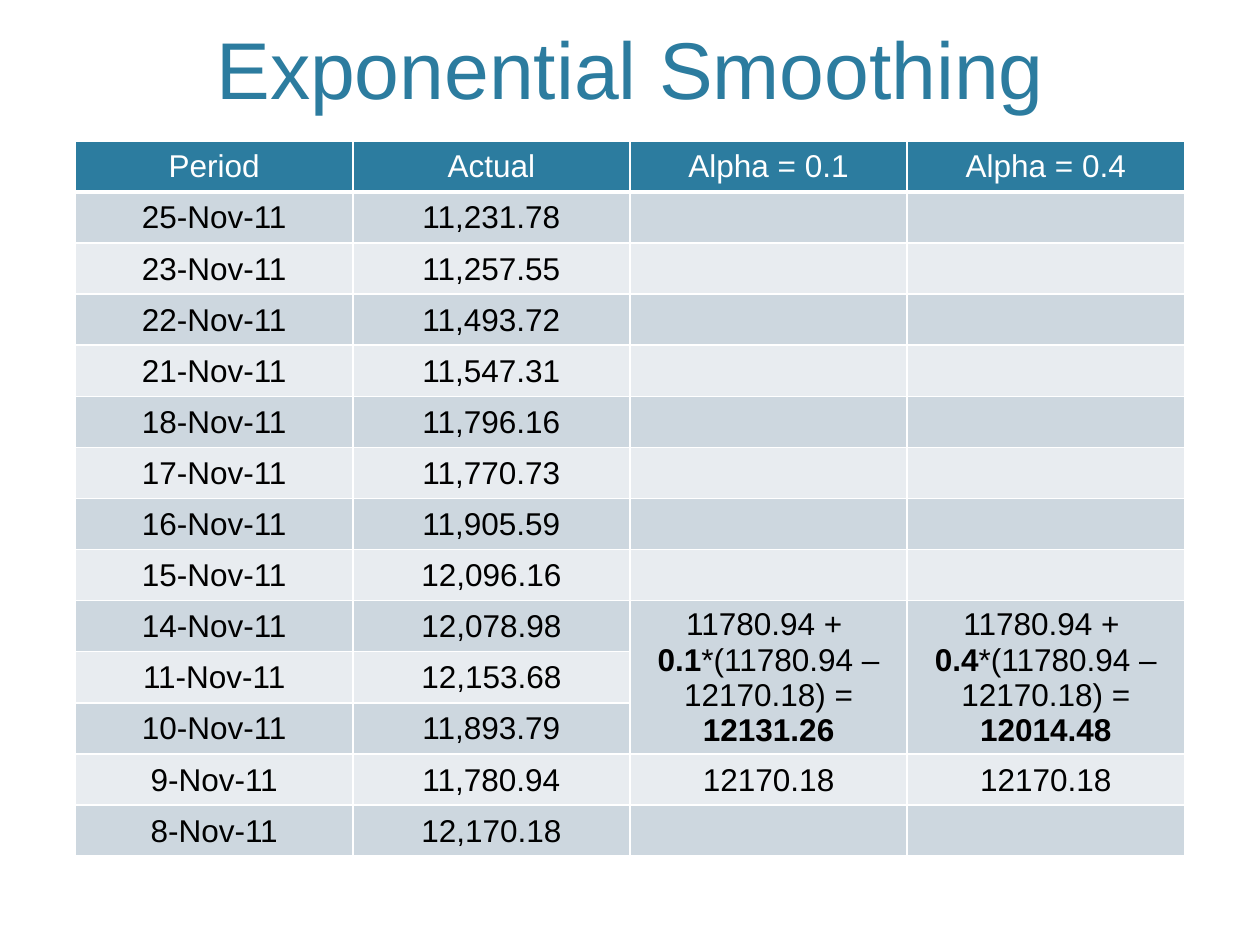
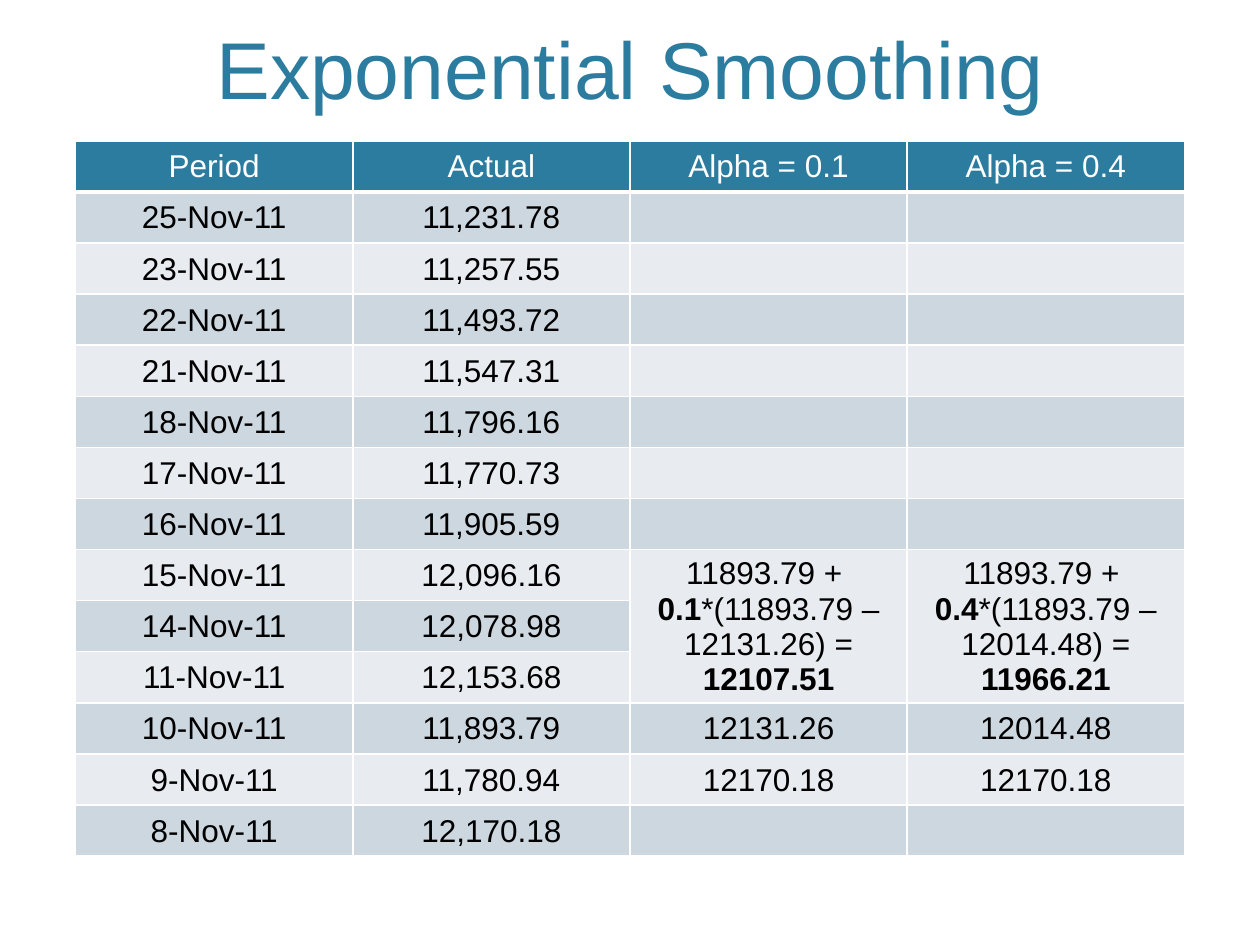
from dataclasses import dataclass

from lxml.etree import SubElement
from pptx import Presentation
from pptx.dml.color import RGBColor
from pptx.enum.text import MSO_ANCHOR, MSO_AUTO_SIZE, PP_ALIGN
from pptx.oxml.ns import qn
from pptx.util import Inches, Pt


@dataclass(frozen=True)
class Theme:
    font: str = "Arial"
    accent: str = "2C7C9F"
    dark_band: str = "CDD7DF"
    light_band: str = "E8ECF0"
    white: str = "FFFFFF"
    black: str = "000000"
    title_size: int = 46
    table_size: int = 18
    thin_line: int = 1
    thick_line: int = 3


THEME = Theme()

# Boxes as shares of the slide: left, top, width, height
TITLE_BOX = (0.06, 0.016, 0.88, 0.113)
TABLE_BOX = (0.06, 0.149, 0.88, 0.757)

ALPHAS = (0.1, 0.4)
HEADERS = ["Period", "Actual"] + [f"Alpha = {alpha}" for alpha in ALPHAS]
HISTORY = [
    ("25-Nov-11", 11231.78), ("23-Nov-11", 11257.55), ("22-Nov-11", 11493.72),
    ("21-Nov-11", 11547.31), ("18-Nov-11", 11796.16), ("17-Nov-11", 11770.73),
    ("16-Nov-11", 11905.59), ("15-Nov-11", 12096.16), ("14-Nov-11", 12078.98),
    ("11-Nov-11", 12153.68), ("10-Nov-11", 11893.79), ("9-Nov-11", 11780.94),
    ("8-Nov-11", 12170.18),
]
FORMULA_ROWS = 3


def scale_box(presentation, box):
    sizes = (presentation.slide_width, presentation.slide_height) * 2
    return [round(share * size) for share, size in zip(box, sizes)]


def style_run(run, size, color, bold=False):
    run.font.name = THEME.font
    run.font.size = Pt(size)
    run.font.bold = bold
    run.font.color.rgb = RGBColor.from_string(color)


def smoothed_values(alpha, count):
    """Forecasts from the oldest period on, starting at the first actual value."""
    actuals = [actual for _, actual in reversed(HISTORY)]
    values = [actuals[0]]
    for actual in actuals[1:count]:
        values.append(alpha * actual + (1 - alpha) * values[-1])
    return values


# Title
def place_title(slide, box):
    title = slide.shapes.title
    title.left, title.top, title.width, title.height = box
    frame = title.text_frame
    frame.text = "Exponential Smoothing"
    frame.auto_size = MSO_AUTO_SIZE.NONE
    frame.vertical_anchor = MSO_ANCHOR.BOTTOM
    paragraph = frame.paragraphs[0]
    paragraph.alignment = PP_ALIGN.CENTER
    style_run(paragraph.runs[0], THEME.title_size, THEME.accent)


# Table cells
def draw_border(cell, side, width):
    properties = cell._tc.get_or_add_tcPr()
    line = SubElement(properties, qn(f"a:ln{side}"), w=str(Pt(width)))
    fill = SubElement(line, qn("a:solidFill"))
    SubElement(fill, qn("a:srgbClr"), val=THEME.white)


def format_cell(cell, row):
    for side in "LRTB":
        below_header = (row, side) in ((0, "B"), (1, "T"))
        draw_border(cell, side, THEME.thick_line if below_header else THEME.thin_line)
    band = THEME.dark_band if row % 2 else THEME.light_band
    cell.fill.solid()
    cell.fill.fore_color.rgb = RGBColor.from_string(band if row else THEME.accent)
    cell.vertical_anchor = MSO_ANCHOR.MIDDLE
    cell.margin_left = cell.margin_right = cell.margin_top = Inches(0.01)
    cell.margin_bottom = 0
    cell.text_frame.paragraphs[0].font.size = Pt(THEME.table_size)


def write_cell(cell, lines, color=THEME.black):
    """Fill a cell with lines, each a list of (text, bold) parts."""
    frame = cell.text_frame
    for number, parts in enumerate(lines):
        paragraph = frame.add_paragraph() if number else frame.paragraphs[0]
        paragraph.alignment = PP_ALIGN.CENTER
        for text, bold in parts:
            run = paragraph.add_run()
            run.text = text
            style_run(run, THEME.table_size, color, bold)


# Forecast column: earlier forecasts, then the worked formula above them
def fill_forecast_column(table, column, alpha, step):
    values = smoothed_values(alpha, step + 1)
    last_row = len(HISTORY)
    for age, value in enumerate(values[:step], start=1):
        write_cell(table.cell(last_row - age, column), [[(f"{value:.2f}", False)]])

    bottom = last_row - step - 1
    formula = table.cell(bottom - FORMULA_ROWS + 1, column)
    formula.merge(table.cell(bottom, column))
    actual = HISTORY[-step - 1][1]
    write_cell(formula, [
        [(f"{actual:.2f} + ", False)],
        [(f"{alpha}", True),
         (f"*({actual:.2f} –{values[step - 1]:.2f}) = ", False),
         (f"{values[step]:.2f}", True)],
    ])


def place_table(slide, box, step):
    row_count = len(HISTORY) + 1
    table = slide.shapes.add_table(row_count, len(HEADERS), *box).table
    table.horz_banding = False
    for row in table.rows:
        row.height = box[3] // row_count
    for row in range(row_count):
        for column in range(len(HEADERS)):
            format_cell(table.cell(row, column), row)

    for column, header in enumerate(HEADERS):
        write_cell(table.cell(0, column), [[(header, False)]], THEME.white)
    for row, (period, actual) in enumerate(HISTORY, start=1):
        write_cell(table.cell(row, 0), [[(period, False)]])
        write_cell(table.cell(row, 1), [[(f"{actual:,.2f}", False)]])
    for column, alpha in enumerate(ALPHAS, start=2):
        fill_forecast_column(table, column, alpha, step)


def add_smoothing_slide(presentation, step):
    slide = presentation.slides.add_slide(presentation.slide_layouts[5])
    place_title(slide, scale_box(presentation, TITLE_BOX))
    place_table(slide, scale_box(presentation, TABLE_BOX), step)


def main():
    presentation = Presentation()
    presentation.slide_width = Inches(10)
    presentation.slide_height = Inches(7.5)
    for step in (1, 2):
        add_smoothing_slide(presentation, step)
    presentation.save("out.pptx")


if __name__ == "__main__":
    main()
